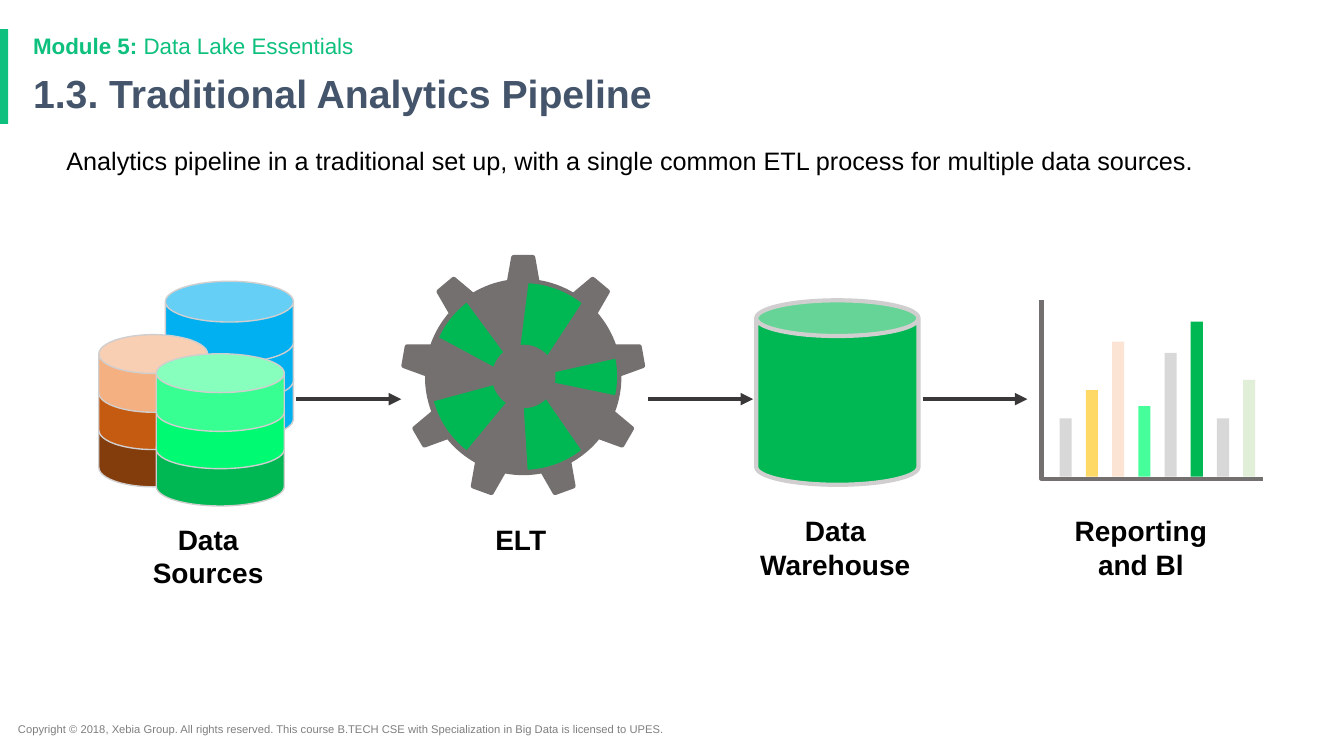
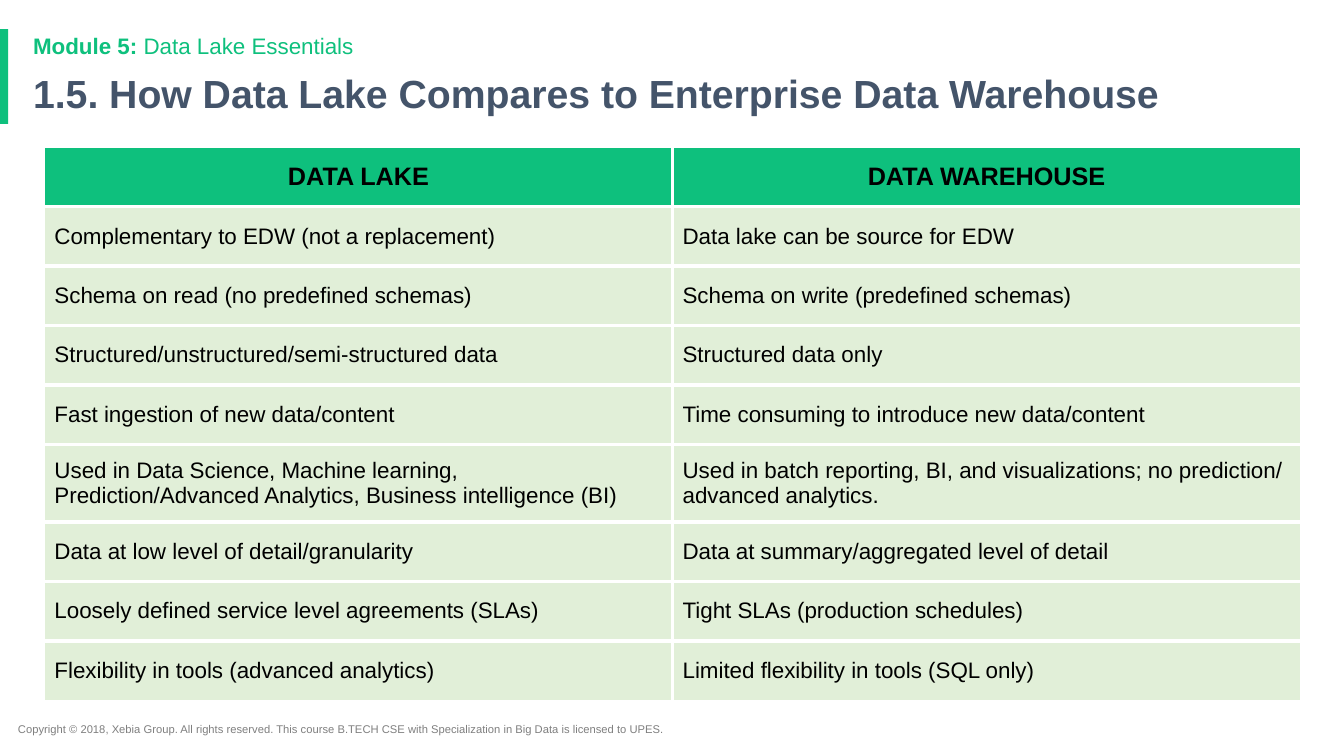
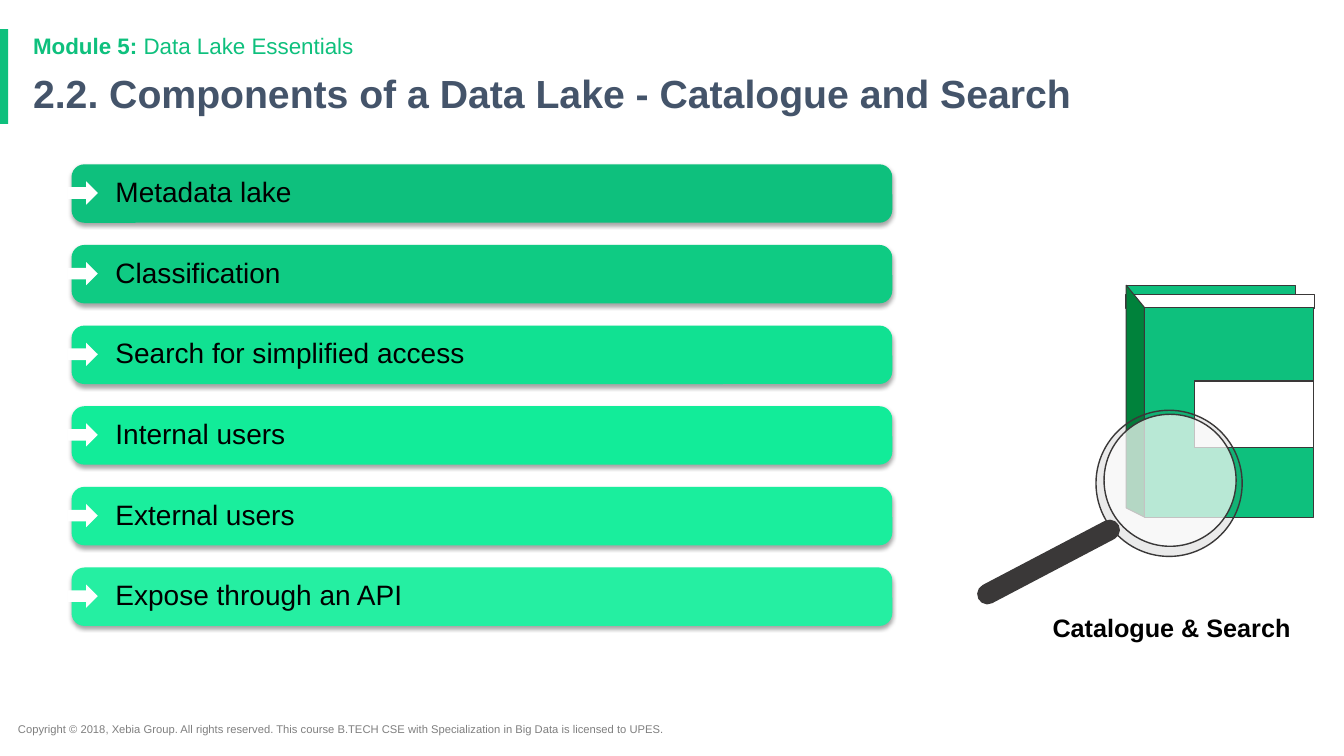
from dataclasses import dataclass
from math import cos, radians, sin

from lxml import etree
from pptx import Presentation
from pptx.dml.color import RGBColor
from pptx.enum.shapes import MSO_CONNECTOR, MSO_SHAPE
from pptx.enum.text import MSO_ANCHOR, PP_ALIGN
from pptx.oxml.ns import qn
from pptx.util import Inches, Pt

RECT = MSO_SHAPE.RECTANGLE
ROUND_RECT = MSO_SHAPE.ROUNDED_RECTANGLE
ELLIPSE = MSO_SHAPE.OVAL
CAN = MSO_SHAPE.CAN
RIGHT_ARROW = MSO_SHAPE.RIGHT_ARROW
STRAIGHT = MSO_CONNECTOR.STRAIGHT
LEFT = PP_ALIGN.LEFT
CENTER = PP_ALIGN.CENTER
TOP = MSO_ANCHOR.TOP
MIDDLE = MSO_ANCHOR.MIDDLE


@dataclass(frozen=True)
class Theme:
    font: str = "Arial"
    accent: str = "0EC07D"
    title: str = "44546A"
    text: str = "000000"
    muted: str = "7F7F7F"
    white: str = "FFFFFF"
    row: str = "E1EFD8"
    dark: str = "3A3838"
    grey: str = "757070"
    silver: str = "D0CECE"
    light: str = "D8D8D8"
    green: str = "00B853"
    spine: str = "00823B"
    blue_stack: tuple = ("00B0F0", "00B0F0", "00B0F0")
    orange_stack: tuple = ("833C0B", "C55A11", "F4B081")
    green_stack: tuple = ("00B853", "00FA71", "37FF91")
    steps: tuple = ("0EC07D", "0FCB83", "11E192", "12EC99", "1AEE9D", "25EFA2")
    yellow: str = "FFD966"
    peach: str = "FBE4D4"
    mint: str = "47FF9A"
    title_size: int = 28
    label_size: int = 20
    body_size: int = 18
    small_size: int = 16
    footer_size: int = 8


THEME = Theme()
MODULE = [("Module 5: ", True), ("Data Lake Essentials", False)]
FOOTER = ("Copyright © 2018, Xebia Group. All rights reserved. This course B.TECH CSE "
          "with Specialization in Big Data is licensed to UPES.")

GEAR_CENTER = (5.19, 3.74)
BODY_RADIUS, TIP_RADIUS = 0.95, 1.19
TOOTH_PITCH, BASE_HALF, TIP_HALF = 40, 8.4, 4.6
SPOKE_HALF = 20.2
SPOKES = [
    ((5.12, 3.76), 185),
    ((5.13, 3.68), 253),
    ((5.29, 3.74), 328.5),
    ((5.18, 3.80), 107.5),
    ((5.27, 3.75), 31.5),
]

COMPARISON = [
    ("DATA LAKE", "DATA WAREHOUSE"),
    ("Complementary to EDW (not a replacement)", "Data lake can be source for EDW"),
    ("Schema on read (no predefined schemas)", "Schema on write (predefined schemas)"),
    ("Structured/unstructured/semi-structured data", "Structured data only"),
    ("Fast ingestion of new data/content", "Time consuming to introduce new data/content"),
    ("Used in Data Science, Machine learning, Prediction/Advanced Analytics, "
     "Business intelligence (BI)",
     "Used in batch reporting, BI, and visualizations; no prediction/ advanced analytics."),
    ("Data at low level of detail/granularity", "Data at summary/aggregated level of detail"),
    ("Loosely defined service level agreements (SLAs)", "Tight SLAs (production schedules)"),
    ("Flexibility in tools (advanced analytics)", "Limited flexibility in tools (SQL only)"),
]
ROW_HEIGHTS = [0.77 if row == 5 else 0.59 for row in range(len(COMPARISON))]

COMPONENTS = ["Metadata lake", "Classification", "Search for simplified access",
              "Internal users", "External users", "Expose through an API"]


def arc(radius, start, end, steps=8):
    angles = [radians(start + (end - start) * i / steps) for i in range(steps + 1)]
    return [(GEAR_CENTER[0] + radius * cos(a), GEAR_CENTER[1] + radius * sin(a))
            for a in angles]


class SlideBuilder:
    def __init__(self, theme):
        self.theme = theme
        self.deck = Presentation()
        self.deck.slide_width = Inches(13.33)
        self.deck.slide_height = Inches(7.5)
        self.page = None

    def new_page(self, title):
        theme = self.theme
        self.page = self.deck.slides.add_slide(self.deck.slide_layouts[6])
        self.shape(RECT, (0, 0.29, 0.08, 0.94), theme.accent)
        self.text((0.08, 7.12, 7.13, 0.24), [[(FOOTER, False)]],
                  theme.footer_size, theme.muted)
        self.text((0.23, 0.69, 11.5, 0.54), [[(title, True)]],
                  theme.title_size, theme.title, spacing=0.9)
        self.text((0.23, 0.3, 11.5, 0.33), [MODULE],
                  theme.small_size, theme.accent, spacing=0.9)

    def fill_text(self, frame, paragraphs, size, color, align=LEFT, spacing=None, indent=0):
        for index, spans in enumerate(paragraphs):
            para = frame.paragraphs[0] if index == 0 else frame.add_paragraph()
            para.alignment = align
            if spacing:
                para.line_spacing = spacing
            if indent:
                properties = para._p.get_or_add_pPr()
                properties.set("marL", str(Inches(indent)))
                properties.set("indent", "0")
            for words, bold in spans:
                span = para.add_run()
                span.text = words
                span.font.name = self.theme.font
                span.font.size = Pt(size)
                span.font.bold = bold
                span.font.color.rgb = RGBColor.from_string(color)

    def text(self, at, paragraphs, size, color, **style):
        box = self.page.shapes.add_textbox(*map(Inches, at))
        box.text_frame.word_wrap = True
        box.text_frame.vertical_anchor = TOP
        self.fill_text(box.text_frame, paragraphs, size, color, **style)

    def label(self, at, *lines, size=None):
        self.text(at, [[(line, True)] for line in lines],
                  size or self.theme.label_size, self.theme.text, align=CENTER)

    def paint(self, shape, fill, line=None, width=1, alpha=None):
        shape.shadow.inherit = False
        if fill:
            shape.fill.solid()
            shape.fill.fore_color.rgb = RGBColor.from_string(fill)
        else:
            shape.fill.background()
        if alpha is not None:
            color = shape._element.spPr.find(f"{qn('a:solidFill')}/{qn('a:srgbClr')}")
            etree.SubElement(color, qn("a:alpha"), val=str(alpha * 1000))
        if line:
            shape.line.color.rgb = RGBColor.from_string(line)
            shape.line.width = Pt(width)
        else:
            shape.line.fill.background()
        return shape

    def shape(self, kind, at, fill, line=None, width=1, alpha=None, adjust=None, turn=0):
        shape = self.page.shapes.add_shape(kind, *map(Inches, at))
        if adjust is not None:
            shape.adjustments[0] = adjust
        shape.rotation = turn
        return self.paint(shape, fill, line, width, alpha)

    def outline(self, points, fill, line=None, width=1, close=True):
        spots = [(Inches(x), Inches(y)) for x, y in points]
        pen = self.page.shapes.build_freeform(*spots[0], scale=1.0)
        pen.add_line_segments(spots[1:], close=close)
        return self.paint(pen.convert_to_shape(), fill, line, width)

    def arrow(self, left, right, y):
        connector = self.page.shapes.add_connector(
            STRAIGHT, Inches(left), Inches(y), Inches(right), Inches(y))
        connector.line.color.rgb = RGBColor.from_string(self.theme.dark)
        connector.line.width = Pt(3)
        properties = connector._element.spPr
        etree.SubElement(properties.find(qn("a:ln")), qn("a:tailEnd"), type="triangle")
        etree.SubElement(properties, qn("a:effectLst"))

    def can_stack(self, left, bottom_top, step, width, height, fills):
        for level, fill in enumerate(fills):
            self.shape(CAN, (left, bottom_top - level * step, width, height), fill,
                       self.theme.silver, adjust=0.5)

    def gear(self):
        theme = self.theme
        rim = []
        for tooth in range(360 // TOOTH_PITCH):
            middle = -90 + tooth * TOOTH_PITCH
            rim += arc(TIP_RADIUS, middle - TIP_HALF, middle + TIP_HALF, 1)
            rim += arc(BODY_RADIUS, middle + BASE_HALF, middle + TOOTH_PITCH - BASE_HALF)
        self.outline(rim, theme.grey, theme.grey, 3.5)
        self.shape(ELLIPSE, (4.27, 2.81, 1.85, 1.85), theme.green)
        for apex, middle in SPOKES:
            edge = arc(BODY_RADIUS, middle - SPOKE_HALF, middle + SPOKE_HALF)
            self.outline([apex] + edge, theme.grey)
        self.shape(ELLIPSE, (4.88, 3.42, 0.63, 0.63), theme.grey)

    def bar_icon(self):
        theme = self.theme
        bars = [(0.58, theme.light), (0.86, theme.yellow), (1.34, theme.peach),
                (0.7, theme.mint), (1.23, theme.light), (1.54, theme.green),
                (0.58, theme.light), (0.96, theme.row)]
        for index, (height, fill) in enumerate(bars):
            self.shape(RECT, (10.51 + 0.26 * index, 4.73 - height, 0.12, height), fill)
        self.outline([(10.33, 2.98), (10.33, 4.75), (12.53, 4.75)], None,
                     theme.grey, 3, close=False)

    def table(self, at, rows, heights):
        theme = self.theme
        table = self.page.shapes.add_table(len(rows), len(rows[0]), *map(Inches, at)).table
        table.first_row = False
        table.horz_banding = False
        for column in table.columns:
            column.width = Inches(at[2] / len(rows[0]))
        for r, values in enumerate(rows):
            table.rows[r].height = Inches(heights[r])
            header = r == 0
            for c, value in enumerate(values):
                cell = table.cell(r, c)
                inner = [("a:lnL", c > 0), ("a:lnR", c < len(values) - 1),
                         ("a:lnT", r > 0), ("a:lnB", r < len(rows) - 1)]
                self.cell_borders(cell, [tag for tag, shown in inner if shown])
                cell.fill.solid()
                cell.fill.fore_color.rgb = RGBColor.from_string(
                    theme.accent if header else theme.row)
                cell.vertical_anchor = MIDDLE
                cell.margin_left = cell.margin_right = Inches(0.1)
                cell.margin_top = cell.margin_bottom = Inches(0.1)
                self.fill_text(cell.text_frame, [[(value, header)]],
                               theme.body_size if header else theme.small_size,
                               theme.text, align=CENTER if header else LEFT)

    def cell_borders(self, cell, tags):
        properties = cell._tc.get_or_add_tcPr()
        for tag in tags:
            border = etree.SubElement(properties, qn(tag), w=str(Pt(3)))
            fill = etree.SubElement(border, qn("a:solidFill"))
            etree.SubElement(fill, qn("a:srgbClr"), val=self.theme.white)

    def component_bar(self, top, words, fill):
        theme = self.theme
        bar = self.shape(ROUND_RECT, (0.71, top, 8.14, 0.58), fill, adjust=0.22)
        effects = bar._element.spPr.find(qn("a:effectLst"))
        shadow = etree.SubElement(effects, qn("a:outerShdw"), blurRad=str(Pt(3)),
                                  dist=str(Pt(2)), dir="5400000", rotWithShape="0")
        color = etree.SubElement(shadow, qn("a:srgbClr"), val=theme.text)
        etree.SubElement(color, qn("a:alpha"), val="35000")
        bar.text_frame.word_wrap = True
        bar.text_frame.vertical_anchor = MIDDLE
        self.fill_text(bar.text_frame, [[(words, False)]], theme.label_size, theme.text,
                       spacing=0.9, indent=0.3)
        self.shape(RIGHT_ARROW, (0.67, top + 0.17, 0.3, 0.23), theme.white)

    def book(self):
        theme = self.theme
        self.shape(RECT, (11.17, 2.83, 1.68, 2.21), theme.accent, theme.dark, 0.75)
        self.shape(RECT, (11.17, 2.92, 1.87, 0.14), theme.white, theme.dark)
        self.outline([(11.17, 2.83), (11.35, 3.05), (11.35, 5.13), (11.17, 5.04)],
                     theme.spine, theme.dark, 0.75)
        self.shape(RECT, (11.35, 3.05, 1.68, 2.08), theme.accent, theme.dark, 0.75)
        self.shape(RECT, (11.85, 3.78, 1.18, 0.66), theme.white, theme.dark)

    def magnifier(self):
        theme = self.theme
        self.shape(ELLIPSE, (10.87, 4.07, 1.45, 1.45), theme.dark, theme.dark, alpha=10)
        self.shape(ELLIPSE, (10.95, 4.11, 1.31, 1.31), theme.white, theme.dark, alpha=70)
        self.shape(ROUND_RECT, (9.62, 5.48, 1.56, 0.19), theme.dark, theme.dark,
                   adjust=0.5, turn=332.3)


def pipeline_page(builder):
    theme = builder.theme
    builder.new_page("1.3. Traditional Analytics Pipeline")
    builder.text((0.56, 1.43, 12.09, 5.29),
                 [[("Analytics pipeline in a traditional set up, with a single common "
                    "ETL process for multiple data sources.", False)]],
                 theme.body_size, theme.text, spacing=0.9)
    builder.can_stack(1.64, 3.55, 0.38, 1.27, 0.81, theme.blue_stack)
    builder.can_stack(0.98, 4.06, 0.37, 1.08, 0.77, theme.orange_stack)
    builder.can_stack(1.55, 4.25, 0.37, 1.27, 0.77, theme.green_stack)
    builder.shape(CAN, (7.5, 2.98, 1.61, 1.83), theme.green, theme.silver, 3, adjust=0.22)
    builder.bar_icon()
    for left in (2.94, 6.43, 9.15):
        builder.arrow(left, left + 1.04, 3.96)
    builder.label((1.03, 5.13, 2.07, 0.77), "Data", "Sources")
    builder.label((4.13, 5.13, 2.07, 0.44), "ELT")
    builder.label((7.25, 5.05, 2.07, 0.77), "Data Warehouse")
    builder.label((10.54, 5.05, 1.55, 0.77), "Reporting and Bl")
    builder.gear()


def comparison_page(builder):
    builder.new_page("1.5. How Data Lake Compares to Enterprise Data Warehouse")
    builder.table((0.44, 1.46, 12.46, sum(ROW_HEIGHTS)), COMPARISON, ROW_HEIGHTS)


def components_page(builder):
    builder.new_page("2.2. Components of a Data Lake - Catalogue and Search")
    for index, (words, fill) in enumerate(zip(COMPONENTS, builder.theme.steps)):
        builder.component_bar(1.63 + 0.8 * index, words, fill)
    builder.book()
    builder.magnifier()
    builder.label((10.2, 6.03, 2.84, 0.4), "Catalogue & Search",
                  size=builder.theme.body_size)


def main():
    builder = SlideBuilder(THEME)
    pipeline_page(builder)
    comparison_page(builder)
    components_page(builder)
    builder.deck.save("out.pptx")


if __name__ == "__main__":
    main()
